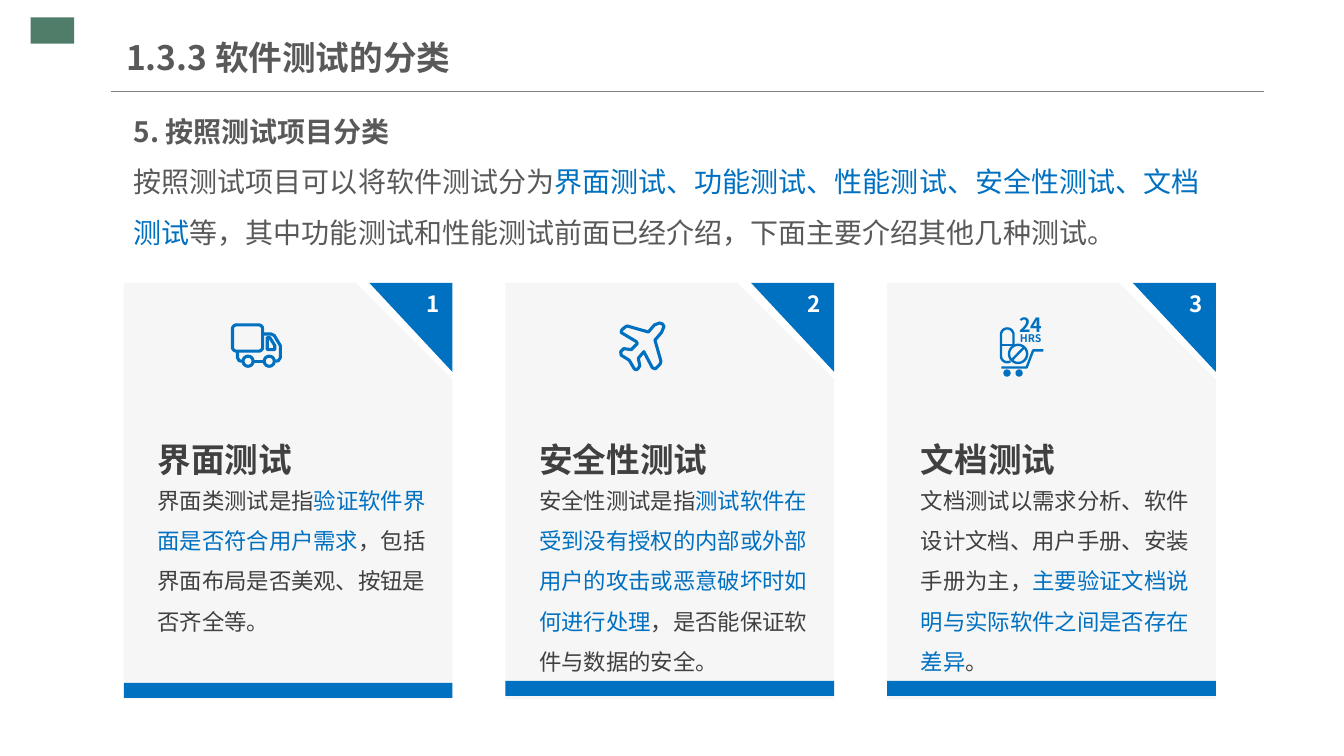
from math import cos, radians, sin

from lxml import etree
from pptx import Presentation
from pptx.dml.color import RGBColor
from pptx.enum.shapes import MSO_CONNECTOR as Connector, MSO_SHAPE as Preset
from pptx.enum.text import MSO_ANCHOR as Anchor, PP_ALIGN as Align
from pptx.oxml.ns import qn
from pptx.util import Cm, Pt

FONT = "Noto Sans CJK SC"
BLUE, GREY, DARK, PALE, WHITE = "0070C0", "595959", "404040", "F6F6F6", "FFFFFF"
UNIT = 0.0254


def color(value):
    return RGBColor.from_string(value)


def paint(shape, fill=None, line=None, width=1):
    shape.shadow.inherit = False
    if fill:
        shape.fill.solid()
        shape.fill.fore_color.rgb = color(fill)
    else:
        shape.fill.background()
    if line:
        shape.line.color.rgb = color(line)
        shape.line.width = Pt(width)
    else:
        shape.line.fill.background()
    return shape


def add_box(shapes, preset, x, y, w, h, fill):
    return paint(shapes.add_shape(preset, Cm(x), Cm(y), Cm(w), Cm(h)), fill)


def add_outline(shapes, contours, **paints):
    builder = None
    for points, close in contours:
        start, *rest = [(Cm(x), Cm(y)) for x, y in points]
        if builder is None:
            builder = shapes.build_freeform(*start, scale=1.0)
        else:
            builder.move_to(*start)
        builder.add_line_segments(rest, close=close)
    return paint(builder.convert_to_shape(), **paints)


def write(paragraph, spans, size, bold=False, spacing=None):
    if spacing:
        paragraph.line_spacing = spacing
    for text, tint in spans:
        span = paragraph.add_run()
        span.text = text
        span.font.size = Pt(size)
        span.font.bold = bold
        span.font.color.rgb = color(tint)
        span.font.name = FONT
        etree.SubElement(span.font._element, qn("a:ea"), typeface=FONT)


def set_insets(frame, side, end):
    frame.margin_left = frame.margin_right = Cm(side)
    frame.margin_top = frame.margin_bottom = Cm(end)


def add_text(shapes, x, y, w, h):
    frame = shapes.add_textbox(Cm(x), Cm(y), Cm(w), Cm(h)).text_frame
    frame.word_wrap = True
    return frame


def arc(x, y, radius, start=0, end=360):
    angles = [radians(start + (end - start) * step / 24) for step in range(25)]
    return [(x + radius * cos(angle), y + radius * sin(angle)) for angle in angles]


def rounded(x, y, w, h, radius):
    corners = [(x + w - radius, y + h - radius, 0), (x + radius, y + h - radius, 90),
               (x + radius, y + radius, 180), (x + w - radius, y + radius, 270)]
    return [point for cx, cy, turn in corners for point in arc(cx, cy, radius, turn, turn + 90)]


def add_icon(shapes, x, y, contours, width):
    placed = [([(x + px * UNIT, y + py * UNIT) for px, py in points], close)
              for points, close in contours]
    add_outline(shapes, placed, line=BLUE, width=width)


def draw_truck(shapes, x, y):
    cab = [(33, 10.5), (40, 10.5), (43, 12), (49, 22), (49, 34), (47, 37), (44.5, 37.5)]
    chassis = [(6.5, 28), (6.5, 34), (8, 37), (11, 37.5)]
    window = [(36, 14), (38.5, 14), (43.5, 22), (43.5, 26), (36, 26)]
    add_icon(shapes, x + 2.7, y + 1.02, [
        (rounded(1.5, 1.5, 30, 26, 4), True), (cab, False), (chassis, False),
        (window, True), ([(23, 37.5), (32, 37.5)], False),
        (arc(17, 37.5, 5), True), (arc(38, 37.5, 5), True)], 2.2)


def draw_plane(shapes, x, y):
    body = [(41, 1.5), (36, 3.5), (30, 10.5), (9, 4.5), (7, 5.5), (3.5, 8.5), (3, 11),
            (18, 20), (19, 22), (13, 28), (5.5, 27), (2.5, 30), (3, 33.5), (11, 38.5),
            (16, 47), (18, 48), (20, 46.5), (21.5, 44), (20, 36.5), (25.5, 30), (34, 46),
            (37, 47), (41.5, 42.5), (42.5, 39.5), (36.5, 18.5), (43, 11), (45.5, 5), (44, 2.5)]
    add_icon(shapes, x + 2.84, y + 0.97, [(body, True)], 2.2)


def draw_cart(shapes, x, y):
    x, y = x + 2.84, y + 0.86
    pill = arc(7.25, 38.5, 6.25, 60, 180) + arc(7.25, 17.5, 6.25, 180, 360) + [(13.5, 27.5)]
    cart = [(1.5, 50), (26.5, 50), (33, 33), (43, 33)]
    wheels = [(arc(left, 55.5, radius), True) for left in (7, 19) for radius in (1, 2.4)]
    add_icon(shapes, x, y, [
        (pill, False), ([(1, 27.5), (13.5, 27.5)], False), (arc(18, 36.5, 9), True),
        ([(11.5, 43), (24, 30)], False), (cart, False), *wheels], 1.7)
    for text, top, height, size in (("24", 0, 15, 14), ("HRS", 17, 8, 7.5)):
        frame = add_text(shapes, x + 17 * UNIT, y + top * UNIT, 27 * UNIT, height * UNIT)
        frame.word_wrap = False
        frame.vertical_anchor = Anchor.MIDDLE
        set_insets(frame, 0, 0)
        frame.paragraphs[0].alignment = Align.CENTER
        write(frame.paragraphs[0], [(text, BLUE)], size, bold=True)


def add_header(shapes):
    add_box(shapes, Preset.RECTANGLE, 0.77, 0.44, 1.1, 0.66, "4F7D6A")
    rule = shapes.add_connector(Connector.STRAIGHT, Cm(2.8), Cm(2.31), Cm(31.86), Cm(2.31))
    rule.line.color.rgb = color("808080")
    rule.line.width = Pt(0.75)
    etree.SubElement(rule._element.spPr, qn("a:effectLst"))
    frame = add_text(shapes, 3.18, 0.74, 10.82, 1.4)
    frame.vertical_anchor = Anchor.MIDDLE
    set_insets(frame, 0, 0.18)
    write(frame.paragraphs[0], [("1.3.3 软件测试的分类", GREY)], 24, bold=True)


def add_intro(shapes, x, y, w, h):
    frame = add_text(shapes, x, y, w, h)
    write(frame.paragraphs[0], [("5. 按照测试项目分类", GREY)], 20, True, 1.5)
    write(frame.add_paragraph(), [
        ("按照测试项目可以将软件测试分为", GREY),
        ("界面测试、功能测试、性能测试、安全性测试、文档测试", BLUE),
        ("等，其中功能测试和性能测试前面已经介绍，下面主要介绍其他几种测试。", GREY),
    ], 20, False, 1.5)


def add_card(shapes, x, y, w, h, number, title, spans, draw_icon, strip_top):
    card = add_box(shapes, Preset.SNIP_1_RECTANGLE, x, y, w, h, PALE)
    card.adjustments[0] = 0.294
    add_box(shapes, Preset.RECTANGLE, x, y + strip_top, w, 0.38, BLUE)
    right = x + w
    triangle = [(right, y), (right - 2.09, y), (right, y + 2.24)]
    frame = add_outline(shapes, [(triangle, True)], fill=BLUE).text_frame
    frame.vertical_anchor = Anchor.TOP
    set_insets(frame, 0.33, 0.18)
    frame.paragraphs[0].alignment = Align.RIGHT
    write(frame.paragraphs[0], [(str(number), WHITE)], 16, bold=True)
    draw_icon(shapes, x, y)
    body = add_text(shapes, x + 0.6, y + 4.68, 7.34, 5.38)
    write(body.paragraphs[0], spans, 16, False, 1.5)
    heading = add_text(shapes, x + 0.6, y + 3.3, 6.1, 1.8)
    write(heading.paragraphs[0], [(title, DARK)], 24, True, 1.5)


CARDS = [
    ("界面测试", [
        ("界面类测试是指", DARK),
        ("验证软件界面是否符合用户需求", BLUE),
        ("，包括界面布局是否美观、按钮是否齐全等。", DARK)], draw_truck, 10.08),
    ("安全性测试", [
        ("安全性测试是指", DARK),
        ("测试软件在受到没有授权的内部或外部用户的攻击或恶意破坏时如何进行处理", BLUE),
        ("，是否能保证软件与数据的安全。", DARK)], draw_plane, 10.03),
    ("文档测试", [
        ("文档测试以需求分析、软件设计文档、用户手册、安装手册为主，", DARK),
        ("主要验证文档说明与实际软件之间是否存在差异", BLUE),
        ("。", DARK)], draw_cart, 10.03),
]


def main():
    deck = Presentation()
    deck.slide_width, deck.slide_height = Cm(33.87), Cm(19.05)
    shapes = deck.slides.add_slide(deck.slide_layouts[6]).shapes
    add_header(shapes)
    for index, card in enumerate(CARDS):
        add_card(shapes, 3.12 + index * 9.62, 7.13, 8.28, 10.49, index + 1, *card)
    add_intro(shapes, 3.12, 2.34, 27.94, 3.15)
    deck.save("out.pptx")


if __name__ == "__main__":
    main()
